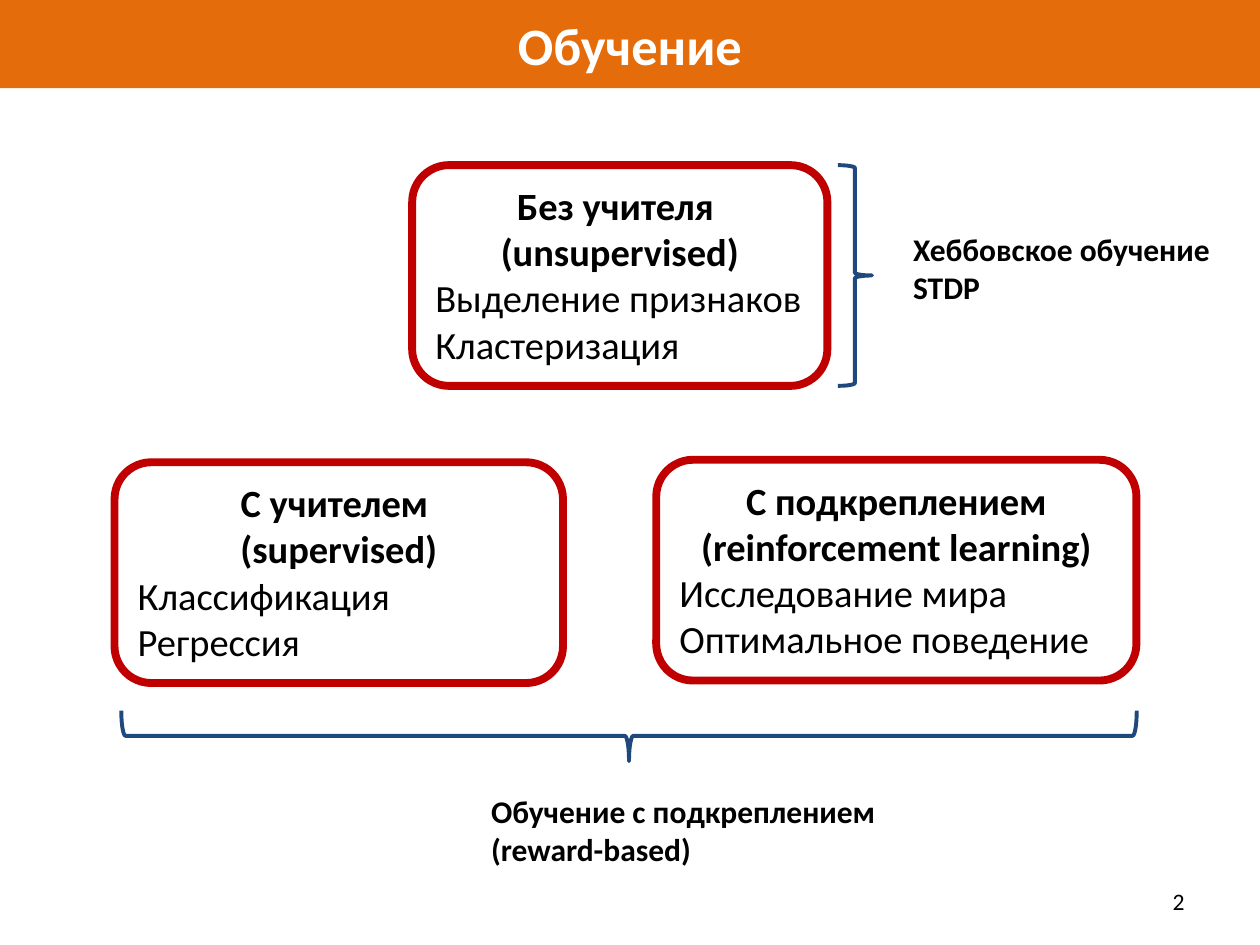
"""Build the slide on kinds of learning."""
from pptx import Presentation
from pptx.dml.color import RGBColor
from pptx.enum import shapes, text
from pptx.util import Cm, Pt

ORANGE = RGBColor(0xE4, 0x6C, 0x0A)
RED = RGBColor(0xC0, 0x00, 0x00)
BLUE = RGBColor(0x1F, 0x49, 0x7D)
BLACK = RGBColor(0, 0, 0)
WHITE = RGBColor(0xFF, 0xFF, 0xFF)
LEFT, CENTER, RIGHT = text.PP_ALIGN.LEFT, text.PP_ALIGN.CENTER, text.PP_ALIGN.RIGHT
TOP, MIDDLE = text.MSO_ANCHOR.TOP, text.MSO_ANCHOR.MIDDLE
SHAPE = shapes.MSO_SHAPE

TITLE = "Обучение"
PAGE_NUMBER = "2"
METHODS = [
    ((8.31, 3.33, 8.37, 4.45), ["Без учителя ", "(unsupervised)"],
     ["Выделение признаков", "Кластеризация"]),
    ((2.31, 9.32, 9.04, 4.45), ["С учителем ", "(supervised)"],
     ["Классификация", "Регрессия"]),
    ((13.23, 9.27, 9.68, 4.45), ["С подкреплением (reinforcement learning)"],
     ["Исследование мира", "Оптимальное поведение"]),
]
NOTES = [
    ((18.16, 4.52, 6.55, 1.8), ["Хеббовское обучение", "STDP"]),
    ((9.65, 15.85, 8.56, 1.8), ["Обучение с подкреплением (reward-based)"]),
]
BRACES = [((16.89, 3.33, 0.69, 4.45), 0), ((12.17, 4.6, 1.02, 20.47), 90)]


def add_outline(page, kind, place, color, width):
    """Add an unfilled preset shape with a coloured line."""
    shape = page.shapes.add_shape(kind, *map(Cm, place))
    shape.shadow.inherit = False
    shape.fill.background()
    shape.line.color.rgb = color
    shape.line.width = Pt(width)
    return shape


def write(shape, lines, size, color=BLACK, anchor=TOP, grow=False):
    """Fill a shape with (wording, bold, alignment) paragraphs."""
    frame = shape.text_frame
    frame.text = "\n".join(wording for wording, _, _ in lines)
    frame.word_wrap = True
    frame.vertical_anchor = anchor
    if grow:
        frame.auto_size = text.MSO_AUTO_SIZE.SHAPE_TO_FIT_TEXT
    for para, (_, bold, alignment) in zip(frame.paragraphs, lines):
        para.alignment = alignment
        for span in para.runs:
            span.font.name = "Calibri"
            span.font.size = Pt(size)
            span.font.bold = bold
            span.font.color.rgb = color


def main():
    """Lay out the slide and save it."""
    deck = Presentation()
    deck.slide_width, deck.slide_height = Cm(25.4), Cm(19.05)
    page = deck.slides.add_slide(deck.slide_layouts[6])

    banner = page.shapes.add_shape(SHAPE.RECTANGLE, 0, 0, deck.slide_width, Cm(1.78))
    banner.shadow.inherit = False
    banner.fill.solid()
    banner.fill.fore_color.rgb = ORANGE
    banner.line.fill.background()
    write(banner, [(TITLE, True, CENTER)], 30, WHITE, MIDDLE)

    number = page.shapes.add_textbox(*map(Cm, (18.2, 17.65, 5.93, 1.02)))
    write(number, [(PAGE_NUMBER, False, RIGHT)], 13.5, anchor=MIDDLE)

    for place, heading, tasks in METHODS:
        box = add_outline(page, SHAPE.ROUNDED_RECTANGLE, place, RED, 4.5)
        lines = [(line, True, CENTER) for line in heading]
        lines += [(line, False, LEFT) for line in tasks]
        write(box, lines, 22, grow=True)

    for place, wording in NOTES:
        note = page.shapes.add_textbox(*map(Cm, place))
        write(note, [(line, True, LEFT) for line in wording], 18, grow=True)

    for place, angle in BRACES:
        brace = add_outline(page, SHAPE.RIGHT_BRACE, place, BLUE, 2.25)
        brace.rotation = angle

    deck.save("out.pptx")


if __name__ == "__main__":
    main()
